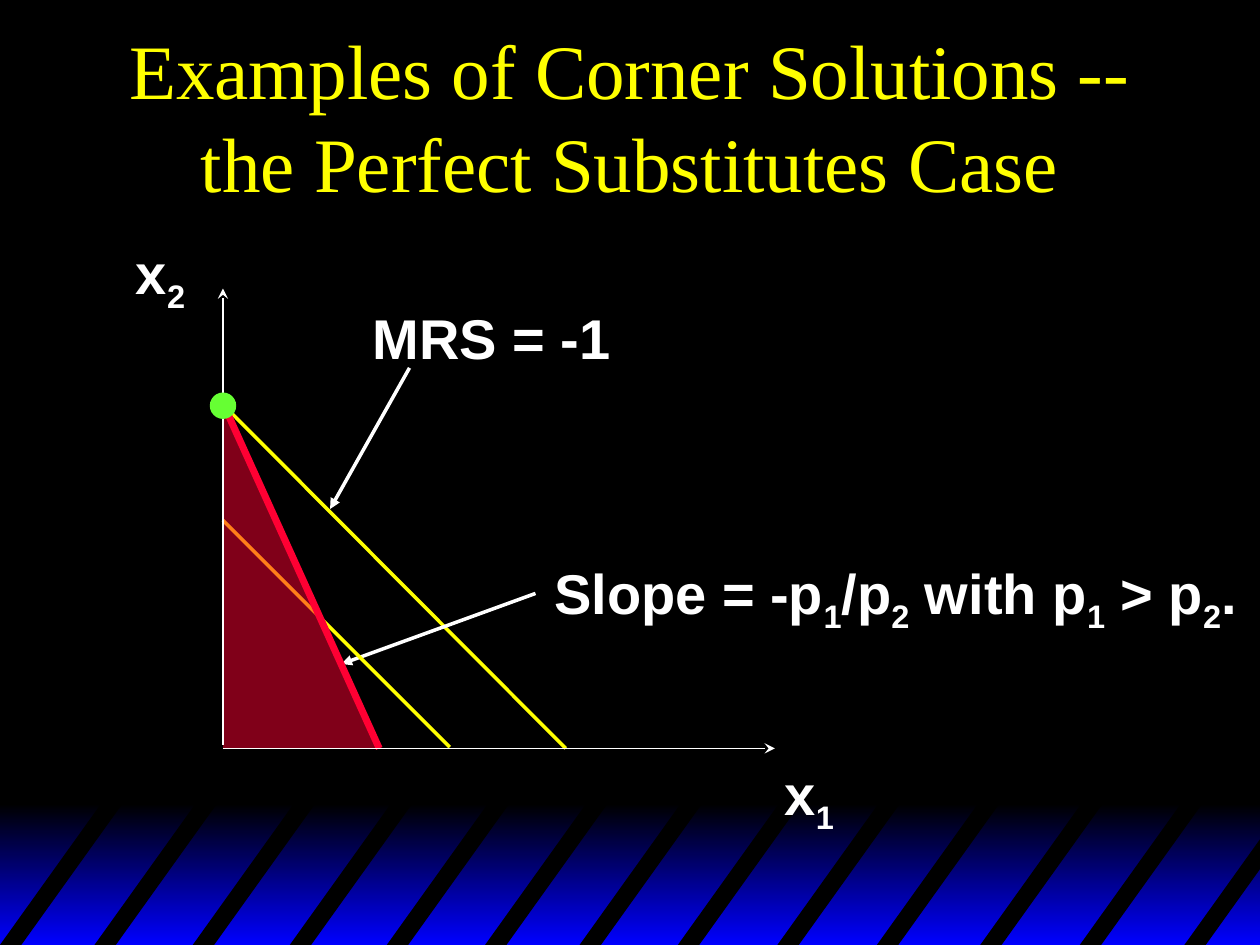
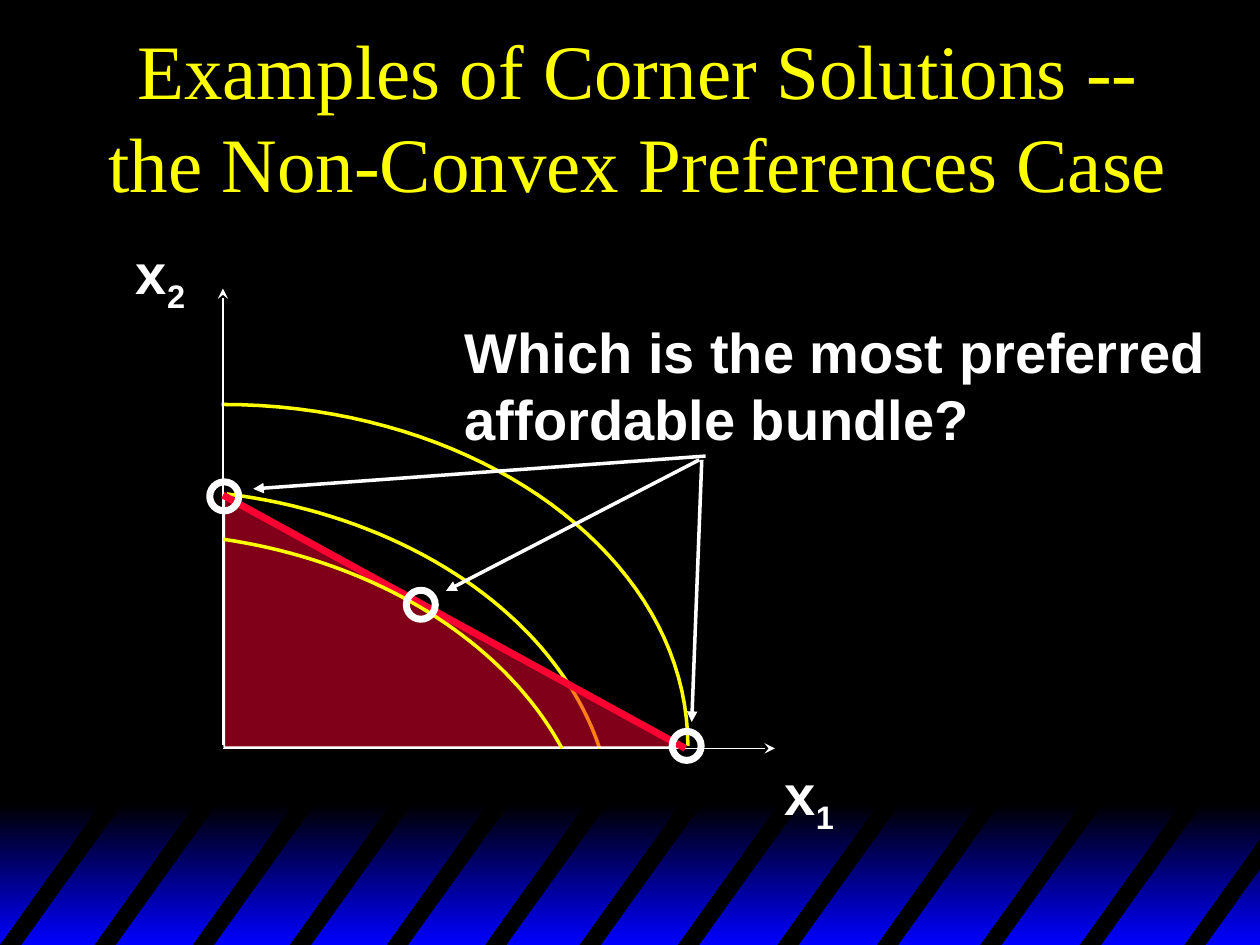
from collections import namedtuple

from lxml.etree import SubElement
from pptx import Presentation
from pptx.dml.color import RGBColor
from pptx.enum.shapes import MSO_CONNECTOR as CONNECTOR, MSO_SHAPE as SHAPE
from pptx.enum.text import MSO_ANCHOR as ANCHOR, MSO_AUTO_SIZE as AUTO_SIZE, PP_ALIGN as ALIGN
from pptx.oxml.ns import qn
from pptx.util import Inches, Pt

Box = namedtuple("Box", "left top width height")

BLACK, WHITE, YELLOW = "000000", "FFFFFF", "FFFF00"
BLUE, RED, GREEN = "0000FF", "FF0033", "66FF33"
TITLE_FONT = {"name": "Times New Roman", "size": Pt(44), "bold": False}
LABEL_FONT = {"name": "Arial", "size": Pt(32), "bold": True}

PAGE = Box(0, 0, 10, 7.5)
BAND = Box(0, 6.38, 10, 1.12)
GRAPH = Box(1.77, 2.29, 4.38, 3.65)
STRIPE_LEFTS = [0, 0.75, 1.53, 2.3, 3.07, 3.85, 4.6, 5.38, 6.17, 6.96, 7.78, 8.57, 9.4]
STRIPE_WIDTH, STRIPE_RISE, STRIPE_RUN = 0.17, 1.16, 0.83


def color(hex_string):
    return RGBColor.from_string(hex_string)


def paint(shape, fill=None, line=None, width=1, alpha=None):
    """Set fill and outline of a shape; None leaves that part empty."""
    shape.shadow.inherit = False
    if fill:
        shape.fill.solid()
        shape.fill.fore_color.rgb = color(fill)
        if alpha:
            rgb = shape.fill._xPr.find(qn("a:solidFill"))[0]
            SubElement(rgb, qn("a:alpha")).set("val", str(alpha * 1000))
    else:
        shape.fill.background()
    if line:
        shape.line.color.rgb = color(line)
        shape.line.width = Pt(width)
    else:
        shape.line.fill.background()


def add_path(slide, points, closed):
    (start_x, start_y), *rest = [(Inches(x), Inches(y)) for x, y in points]
    builder = slide.shapes.build_freeform(start_x, start_y, scale=1.0)
    builder.add_line_segments(rest, close=closed)
    return builder.convert_to_shape()


def add_text(slide, box, lines, font, font_color, wrap=False, align=ALIGN.LEFT, anchor=ANCHOR.TOP):
    """Write lines of text; the character after an underscore is a subscript."""
    frame = slide.shapes.add_textbox(*map(Inches, box)).text_frame
    frame.word_wrap = wrap
    frame.auto_size = AUTO_SIZE.NONE if wrap else AUTO_SIZE.SHAPE_TO_FIT_TEXT
    frame.vertical_anchor = anchor
    paragraph = frame.paragraphs[0]
    paragraph.alignment = align

    def add_run(text, subscript=False):
        run = paragraph.add_run()
        run.text = text
        for name, value in font.items():
            setattr(run.font, name, value)
        run.font.color.rgb = color(font_color)
        if subscript:
            run._r.get_or_add_rPr().set("baseline", "-25000")

    for number, line in enumerate(lines):
        if number:
            paragraph.add_line_break()
        first, *others = line.split("_")
        add_run(first)
        for part in others:
            add_run(part[0], subscript=True)
            if part[1:]:
                add_run(part[1:])


def add_band(slide, box):
    """Blue gradient along the foot, cut by slanted black stripes."""
    band = slide.shapes.add_shape(SHAPE.RECTANGLE, *map(Inches, box))
    paint(band)
    band.fill.gradient()
    band.fill.gradient_angle = 270
    for stop, position, tone in zip(band.fill.gradient_stops, (0, 1), (BLACK, BLUE)):
        stop.position = position
        stop.color.rgb = color(tone)

    bottom, right = box.top + box.height, box.left + box.width
    for offset in STRIPE_LEFTS:
        left = box.left + offset
        # A stripe that meets the right edge is cut off there
        run_left = min(STRIPE_RUN, right - left)
        run_right = min(STRIPE_RUN, right - left - STRIPE_WIDTH)
        slope = STRIPE_RISE / STRIPE_RUN
        stripe = add_path(slide, [
            (left, bottom),
            (left + run_left, bottom - run_left * slope),
            (left + STRIPE_WIDTH + run_right, bottom - run_right * slope),
            (left + STRIPE_WIDTH, bottom)], closed=True)
        paint(stripe, BLACK)


def add_base(presentation, title, title_box):
    """New slide with the shared background, band and title."""
    slide = presentation.slides.add_slide(presentation.slide_layouts[6])
    slide.background.fill.solid()
    slide.background.fill.fore_color.rgb = color(BLACK)
    add_band(slide, BAND)
    add_text(slide, title_box, [title], TITLE_FONT, YELLOW,
             wrap=True, align=ALIGN.CENTER, anchor=ANCHOR.MIDDLE)
    return slide


class Plot:
    """Diagram whose points are inches right of and above the origin."""

    def __init__(self, slide, box):
        self.slide, self.box = slide, box

    def place(self, x, y):
        return self.box.left + x, self.box.top + self.box.height - y

    def line(self, start, end, tone, width, arrow=None):
        ends = [*self.place(*start), *self.place(*end)]
        connector = self.slide.shapes.add_connector(CONNECTOR.STRAIGHT, *map(Inches, ends))
        connector.line.color.rgb = color(tone)
        connector.line.width = Pt(width)
        if arrow:
            SubElement(connector.line._get_or_add_ln(), qn("a:tailEnd")).set("type", arrow)
        SubElement(connector._element.spPr, qn("a:effectLst"))

    def pointer(self, start, end):
        self.line(start, end, WHITE, 2, "triangle")

    def axes(self):
        self.line((0, 0.03), (0, self.box.height), WHITE, 1, "stealth")
        self.line((0, 0), (self.box.width, 0), WHITE, 1, "stealth")
        self.label("x_1", 4.36, -0.04, 0.59, 0.71)
        self.label("x_2", -0.79, 4.1, 0.59, 0.71)

    def label(self, text, x, y, width, height):
        add_text(self.slide, Box(*self.place(x, y), width, height),
                 text.split("\n"), LABEL_FONT, WHITE)

    def budget_set(self, x, y, width, height, **outline):
        corner = self.place(x, y + height)
        triangle = self.slide.shapes.add_shape(
            SHAPE.RIGHT_TRIANGLE, *map(Inches, (*corner, width, height)))
        paint(triangle, RED, alpha=50, **outline)

    def bundle(self, x, y, size, **style):
        left, top = self.place(x - size / 2, y + size / 2)
        circle = self.slide.shapes.add_shape(
            SHAPE.OVAL, *map(Inches, (left, top, size, size)))
        paint(circle, **style)

    def curve(self, *controls, steps=40):
        """Indifference curve along a cubic with four control points."""
        points = []
        for step in range(steps + 1):
            t = step / steps
            weights = ((1 - t) ** 3, 3 * t * (1 - t) ** 2, 3 * t ** 2 * (1 - t), t ** 3)
            points.append(self.place(*(sum(w * c for w, c in zip(weights, axis))
                                       for axis in zip(*controls))))
        paint(add_path(self.slide, points, closed=False), line=YELLOW, width=2)


def add_perfect_substitutes(presentation):
    slide = add_base(presentation, "Examples of Corner Solutions -- the Perfect Substitutes Case",
                     Box(0.75, 0.25, 8.5, 1.33))
    plot = Plot(slide, GRAPH)
    # Indifference lines and their notes
    plot.line((0, 2.73), (2.72, 0), YELLOW, 2)
    plot.label("MRS = -1", 1.09, 3.58, 2.09, 0.63)
    plot.pointer((1.48, 3.02), (0.85, 1.9))
    plot.label("Slope = -p_1/p_2 with p_1 > p_2.", 2.53, 1.56, 5.62, 0.71)
    plot.pointer((2.48, 1.23), (0.94, 0.67))
    plot.line((0, 1.81), (1.8, 0.01), YELLOW, 2)
    # Budget set and the chosen corner
    plot.budget_set(0, 0, 1.25, 2.76)
    plot.line((0, 2.74), (1.24, 0), RED, 4)
    plot.axes()
    plot.bundle(0, 2.72, 0.21, fill=GREEN)


def add_non_convex(presentation):
    slide = add_base(presentation, "Examples of Corner Solutions -- the Non-Convex Preferences Case",
                     Box(0.7, 0.25, 8.73, 1.33))
    plot = Plot(slide, GRAPH)
    plot.curve((-0.01, 2.73), (2.03, 2.73), (3.69, 1.52), (3.69, 0.02))
    plot.axes()
    # Budget set between the other two indifference curves
    plot.curve((0.03, 2.02), (1.47, 1.84), (2.64, 1.05), (2.99, 0))
    plot.budget_set(0.01, 0.01, 3.66, 1.99, line=WHITE)
    plot.line((0, 2.01), (3.67, 0), RED, 4)
    plot.curve((0, 1.66), (1.22, 1.48), (2.23, 0.85), (2.69, 0))
    # Candidate bundles and the question
    for x, y in [(0.01, 2), (3.68, 0.02), (1.57, 1.14)]:
        plot.bundle(x, y, 0.23, line=WHITE, width=4)
    plot.label("Which is the most preferred\naffordable bundle?", 1.82, 3.47, 6.09, 1.17)
    for start, end in [((3.83, 2.32), (0.24, 2.06)),
                       ((3.78, 2.29), (1.77, 1.25)),
                       ((3.8, 2.29), (3.72, 0.21))]:
        plot.pointer(start, end)


def main():
    presentation = Presentation()
    presentation.slide_width = Inches(PAGE.width)
    presentation.slide_height = Inches(PAGE.height)
    add_perfect_substitutes(presentation)
    add_non_convex(presentation)
    presentation.save("out.pptx")


if __name__ == "__main__":
    main()
